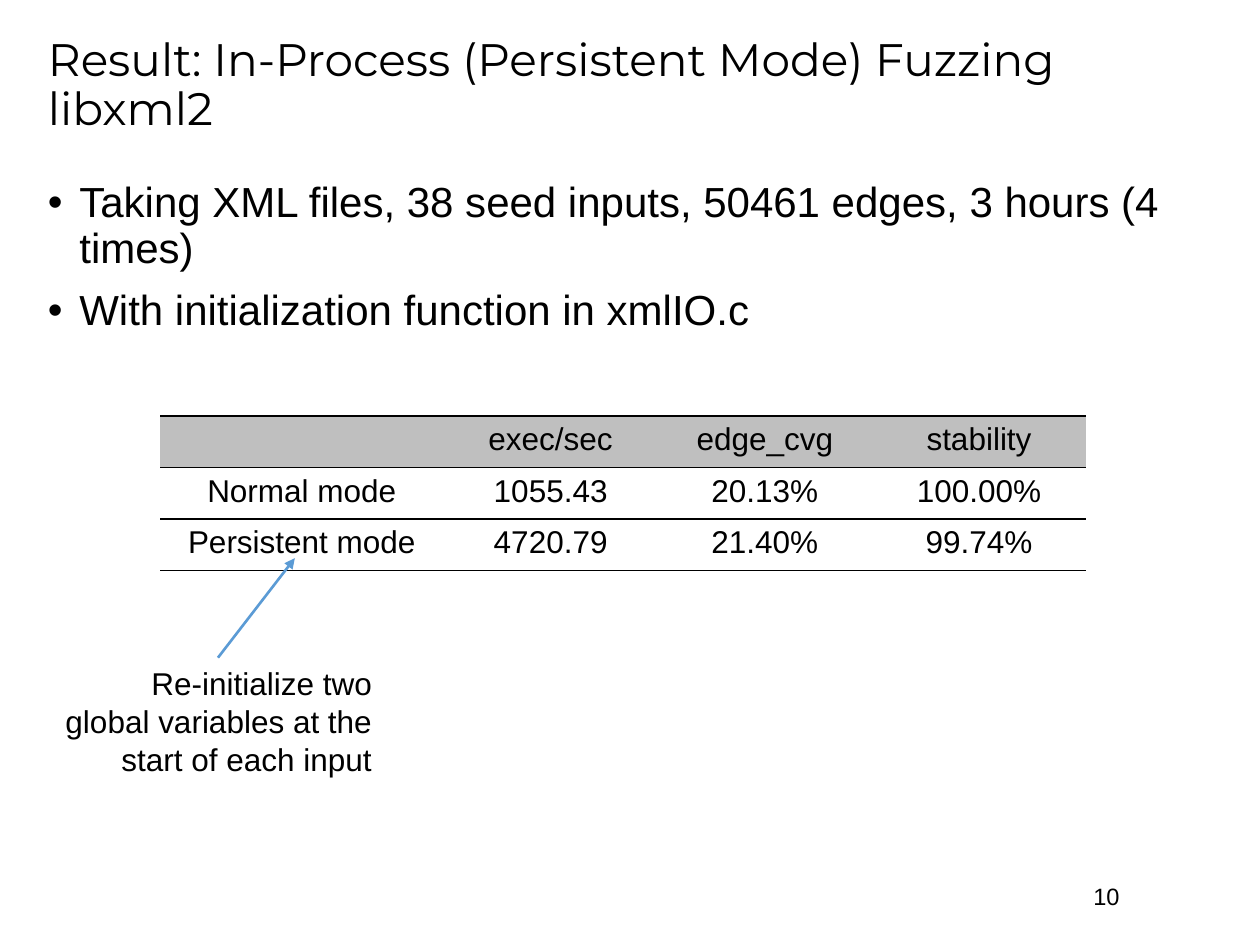
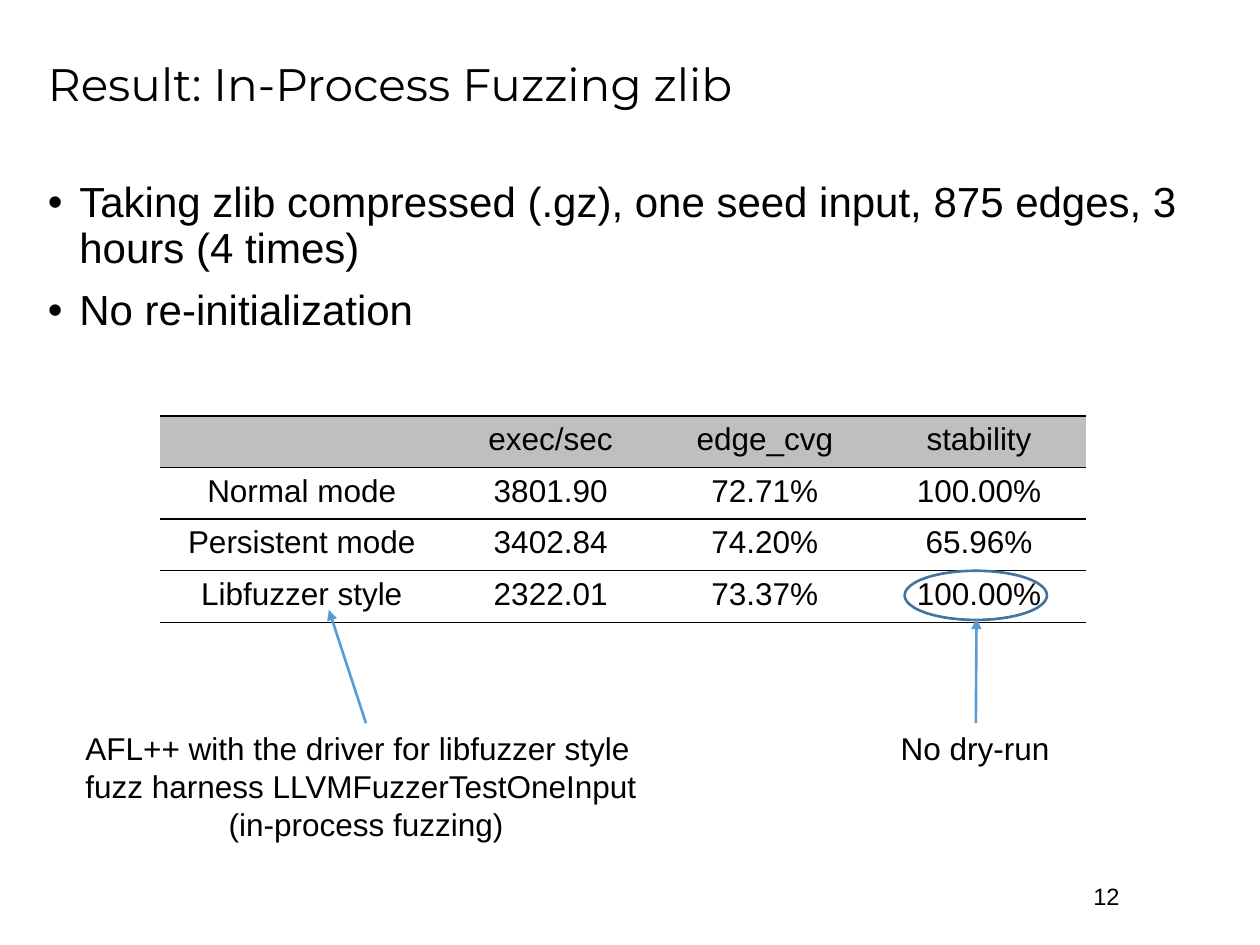
from lxml import etree
from pptx import Presentation
from pptx.dml.color import RGBColor
from pptx.enum.shapes import MSO_CONNECTOR, MSO_SHAPE
from pptx.enum.text import MSO_ANCHOR, MSO_AUTO_SIZE, PP_ALIGN
from pptx.oxml.ns import qn
from pptx.util import Inches, Pt

# Shared style
BLACK = RGBColor(0x00, 0x00, 0x00)
HEADER_GRAY = RGBColor(0xBF, 0xBF, 0xBF)
ARROW_BLUE = RGBColor(0x5B, 0x9B, 0xD5)
RING_BLUE = RGBColor(0x43, 0x73, 0x9E)
LEFT, CENTER, RIGHT = PP_ALIGN.LEFT, PP_ALIGN.CENTER, PP_ALIGN.RIGHT
STRAIGHT, OVAL = MSO_CONNECTOR.STRAIGHT, MSO_SHAPE.OVAL
MIDDLE, TOP = MSO_ANCHOR.MIDDLE, MSO_ANCHOR.TOP
NO_AUTOFIT = MSO_AUTO_SIZE.NONE

TITLE_FONT = {"name": "Montserrat", "size": Pt(26), "bold": False}
BODY_FONT = {"name": "Arial", "size": Pt(24)}
NOTE_FONT = {"name": "Arial", "size": Pt(18)}
NUMBER_FONT = {"name": "Arial", "size": Pt(13.5)}
PLACEHOLDER_BOXES = [(0.28, 0.17, 9.44, 1.03), (0.28, 1.39, 9.44, 5.37)]
NUMBER_BOX = (8.58, 6.95, 0.43, 0.33)

TABLE_LEFT, TABLE_TOP, ROW_HEIGHT = 1.27, 3.3, 0.41
COLUMN_WIDTHS = [2.25, 1.7, 1.7, 1.7]
TABLE_HEADER = ["", "exec/sec", "edge_cvg", "stability"]

# Each note: box, wrap, lines with alignment, tip of the arrow from its top
SLIDES = [
    {
        "number": "10",
        "title": "Result: In-Process (Persistent Mode) Fuzzing libxml2",
        "bullets": [
            "Taking XML files, 38 seed inputs, 50461 edges, 3 hours (4 times)",
            "With initialization function in xmlIO.c",
        ],
        "results": [
            ["Normal mode", "1055.43", "20.13%", "100.00%"],
            ["Persistent mode", "4720.79", "21.40%", "99.74%"],
        ],
        "rings": [],
        "notes": [
            ((0.41, 5.22, 2.64, 1.01), True,
             [("Re-initialize two global variables at the start of each input", RIGHT)],
             (2.34, 4.43)),
        ],
    },
    {
        "number": "12",
        "title": "Result: In-Process Fuzzing zlib",
        "bullets": [
            "Taking zlib compressed (.gz), one seed input, 875 edges, 3 hours (4 times)",
            "No re-initialization",
        ],
        "results": [
            ["Normal mode", "3801.90", "72.71%", "100.00%"],
            ["Persistent mode", "3402.84", "74.20%", "65.96%"],
            ["Libfuzzer style", "2322.01", "73.37%", "100.00%"],
        ],
        "rings": [(7.18, 4.53, 1.13, 0.39)],
        "notes": [
            ((0.58, 5.74, 4.65, 1.01), True,
             [("AFL++ with the driver for libfuzzer style fuzz harness "
               "LLVMFuzzerTestOneInput", LEFT),
              ("(in-process fuzzing)", CENTER)],
             (2.61, 4.84)),
            ((7.05, 5.74, 1.39, 0.4), False, [("No dry-run", LEFT)], (7.75, 4.91)),
        ],
    },
]


def write_lines(text_frame, lines, font_format, paragraph_format=None):
    """Fill a text frame with (text, alignment) lines in one format."""
    for index, (text, alignment) in enumerate(lines):
        paragraph = text_frame.paragraphs[0] if index == 0 else text_frame.add_paragraph()
        paragraph.alignment = alignment
        for name, value in (paragraph_format or {}).items():
            setattr(paragraph, name, value)
        run = paragraph.add_run()
        run.text = text
        run.font.color.rgb = BLACK
        for name, value in font_format.items():
            setattr(run.font, name, value)


def add_note(slide, box, wrap, lines, font_format):
    """Add a plain text box."""
    note = slide.shapes.add_textbox(*map(Inches, box))
    note.text_frame.word_wrap = wrap
    write_lines(note.text_frame, lines, font_format)
    return note


presentation = Presentation()
presentation.slide_width = Inches(10)
presentation.slide_height = Inches(7.5)

for content in SLIDES:
    slide = presentation.slides.add_slide(presentation.slide_layouts[1])

    # Page number
    add_note(slide, NUMBER_BOX, False, [(content["number"], LEFT)], NUMBER_FONT)

    # Title and bullets
    title, body = slide.shapes.title, slide.placeholders[1]
    for placeholder, box, anchor in zip((title, body), PLACEHOLDER_BOXES, (MIDDLE, TOP)):
        placeholder.left, placeholder.top, placeholder.width, placeholder.height = map(Inches, box)
        placeholder.text_frame.auto_size = NO_AUTOFIT
        placeholder.text_frame.vertical_anchor = anchor
    write_lines(title.text_frame, [(content["title"], LEFT)], TITLE_FONT,
                {"line_spacing": 0.9})
    write_lines(body.text_frame, [(text, LEFT) for text in content["bullets"]], BODY_FONT,
                {"line_spacing": 0.9, "space_before": Pt(10)})
    for paragraph in body.text_frame.paragraphs:
        properties = paragraph._p.get_or_add_pPr()
        properties.set("marL", str(Inches(0.25)))
        properties.set("indent", str(-Inches(0.25)))
        etree.SubElement(properties, qn("a:buFont"), typeface="Arial")
        etree.SubElement(properties, qn("a:buChar"), char="•")

    # Result table with horizontal rules only
    rows = [TABLE_HEADER] + content["results"]
    table = slide.shapes.add_table(
        len(rows), len(COLUMN_WIDTHS), Inches(TABLE_LEFT), Inches(TABLE_TOP),
        Inches(sum(COLUMN_WIDTHS)), Inches(ROW_HEIGHT * len(rows))).table
    table.first_row = table.horz_banding = False
    for column, width in zip(table.columns, COLUMN_WIDTHS):
        column.width = Inches(width)
    for row_index, row in enumerate(rows):
        table.rows[row_index].height = Inches(ROW_HEIGHT)
        for column_index, text in enumerate(row):
            cell = table.cell(row_index, column_index)
            if text:
                write_lines(cell.text_frame, [(text, CENTER)], NOTE_FONT)
            cell_properties = cell._tc.get_or_add_tcPr()
            for side in ("lnL", "lnR", "lnT", "lnB"):
                border = etree.SubElement(cell_properties, qn("a:" + side), w=str(Pt(1)))
                if side in ("lnL", "lnR"):
                    etree.SubElement(border, qn("a:noFill"))
                else:
                    solid = etree.SubElement(border, qn("a:solidFill"))
                    etree.SubElement(solid, qn("a:srgbClr"), val=str(BLACK))
            if row_index == 0:
                cell.fill.solid()
                cell.fill.fore_color.rgb = HEADER_GRAY
            else:
                cell.fill.background()

    # Rings around notable values
    for box in content["rings"]:
        ring = slide.shapes.add_shape(OVAL, *map(Inches, box))
        ring.shadow.inherit = False
        ring.fill.background()
        ring.line.color.rgb = RING_BLUE
        ring.line.width = Pt(1.5)

    # Notes with arrows into the table
    for box, wrap, lines, tip in content["notes"]:
        note = add_note(slide, box, wrap, lines, NOTE_FONT)
        tip_x, tip_y = map(Inches, tip)
        arrow = slide.shapes.add_connector(STRAIGHT, note.left, note.top, tip_x, tip_y)
        arrow.begin_connect(note, 0)
        arrow.line.color.rgb = ARROW_BLUE
        arrow.line.width = Pt(1.5)
        etree.SubElement(arrow.line._get_or_add_ln(), qn("a:tailEnd"), type="triangle")
        etree.SubElement(arrow._element.spPr, qn("a:effectLst"))

presentation.save("out.pptx")
